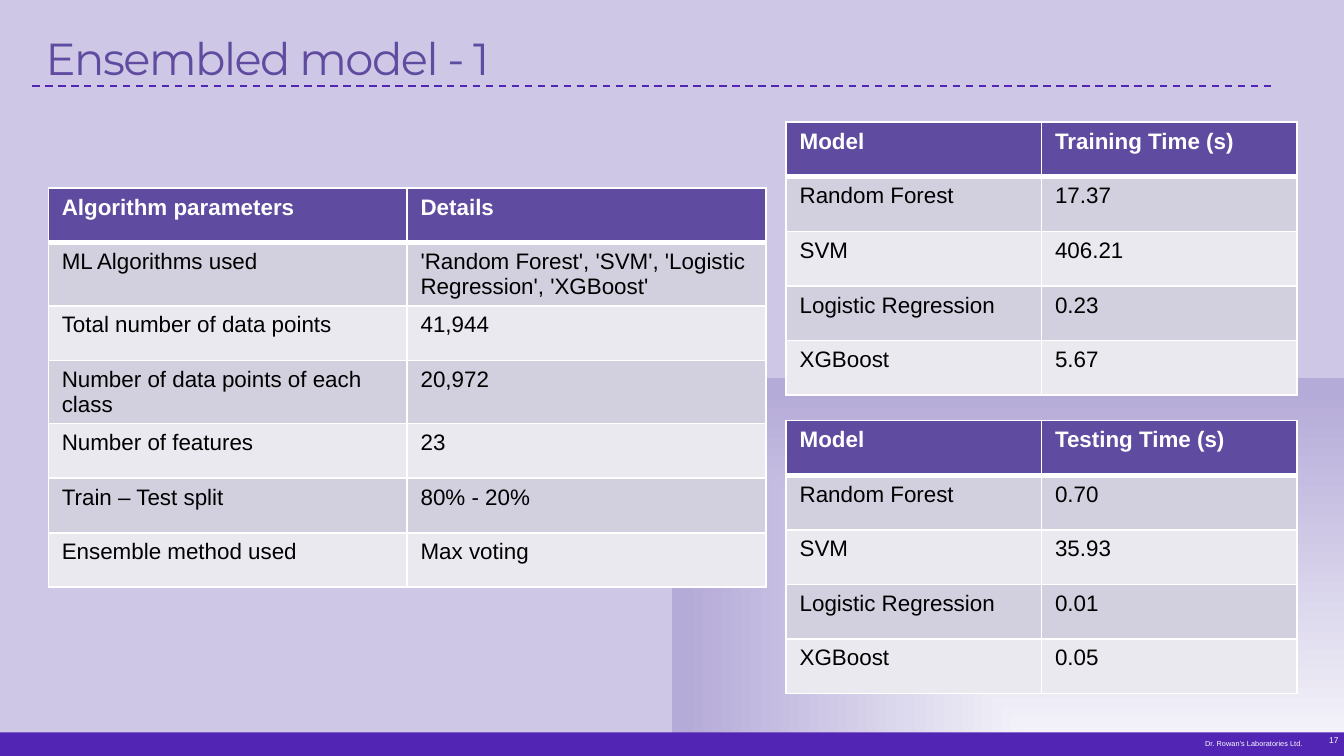
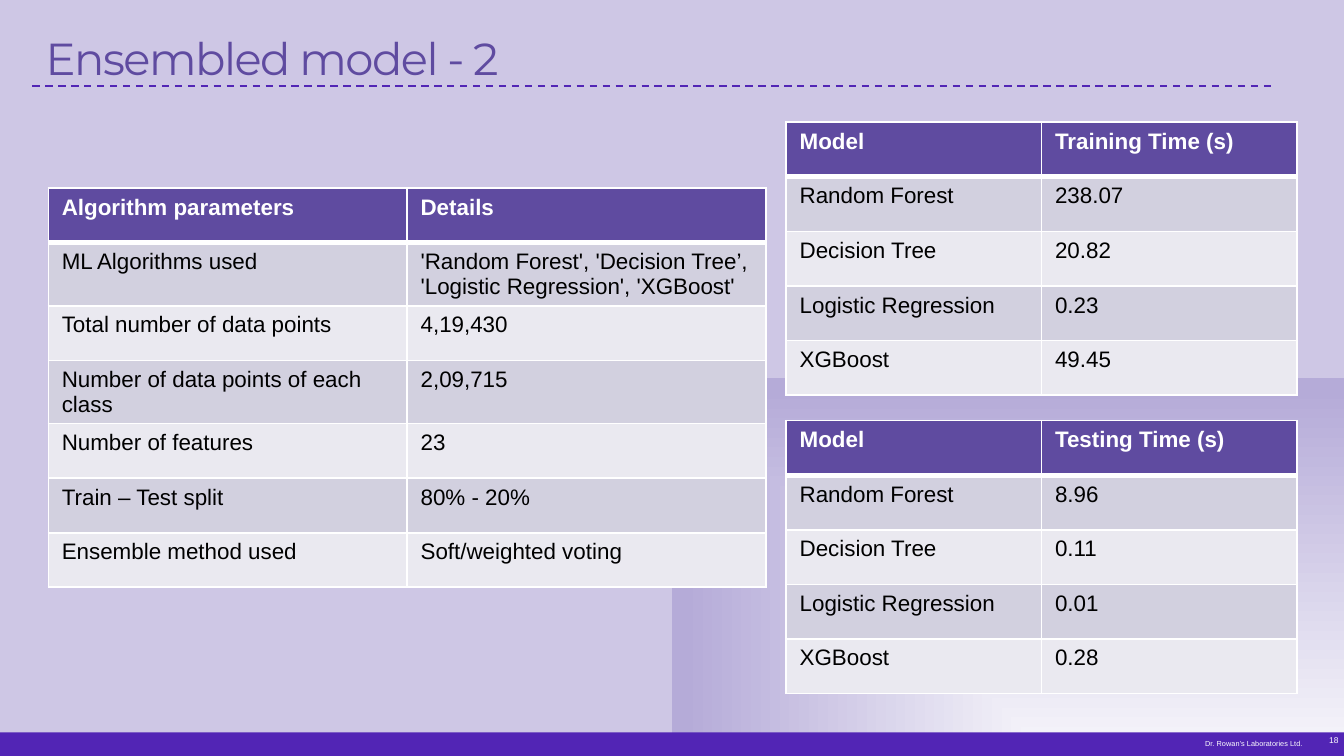
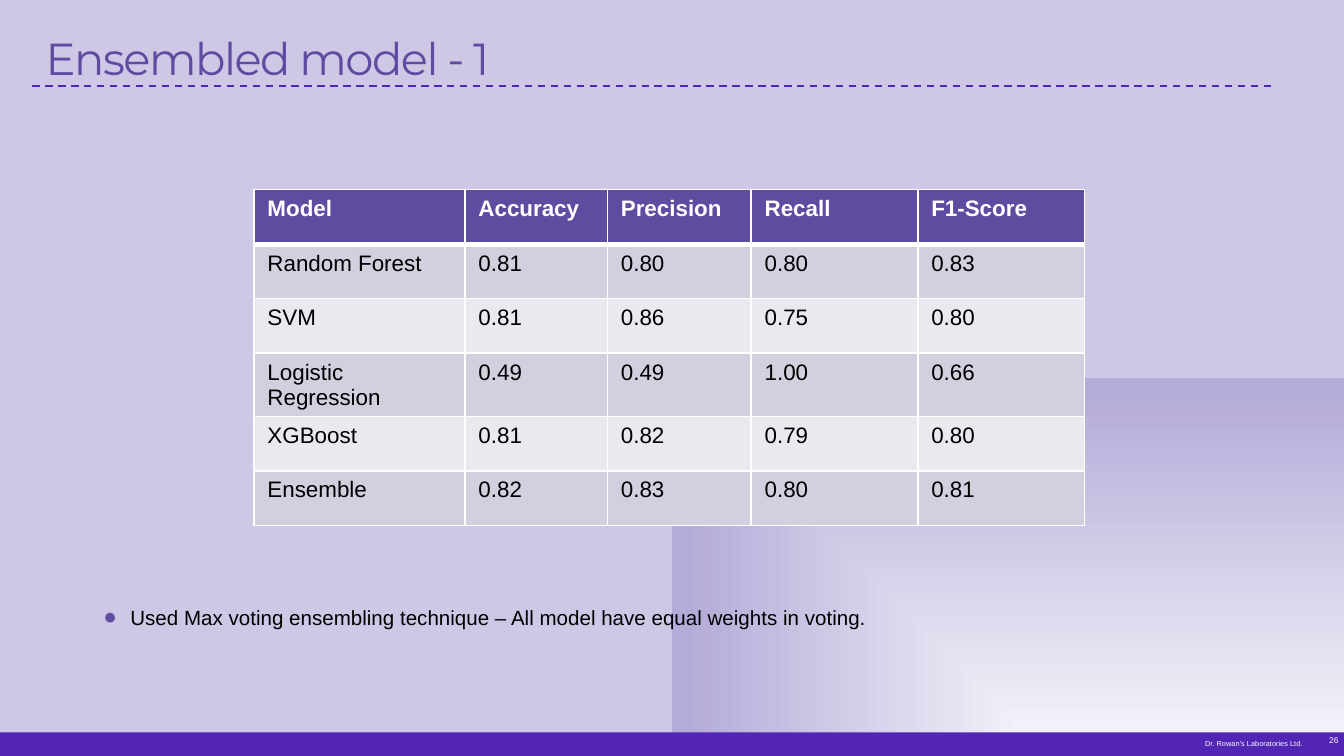
from pptx import Presentation
from pptx import util as u
from pptx.dml import color
from pptx.enum import dml, shapes, text
from pptx.oxml import ns, parse_xml

NS = ns.nsdecls("a")
PURPLE, VIOLET, WHITE, BLACK = "5F4BA0", "5225B5", "FFFFFF", "000000"
BANDS = ("D2D0DF", "EAE9F0")
GLOW = ((0, "F7F6FB"), (97, "B5ABD8"), (100, "B5ABD8"), (100, "CEC7E5"))
ROW_HEIGHT = 2.03 / 5


def rgb(value):
    """Turn a hex string into a colour."""
    return color.RGBColor.from_string(value)


def apply(target, values):
    """Set each format value on the target."""
    for name, value in values.items():
        setattr(target, name, value)


class Deck:
    """Hold the shared style and the current slide."""

    def __init__(self):
        """Open an empty 16:9 presentation with the glowing background."""
        self.prs = Presentation()
        apply(self.prs, {"slide_width": u.Inches(10), "slide_height": u.Inches(10 * 9 / 16)})
        master = self.prs.slide_master
        master.background.fill.solid()
        stops = "".join(
            f'<a:gs pos="{at * 1000}"><a:srgbClr val="{shade}"/></a:gs>' for at, shade in GLOW
        )
        glow = parse_xml(
            f'<a:gradFill {NS} rotWithShape="1"><a:gsLst>{stops}</a:gsLst><a:path path="rect">'
            '<a:fillToRect l="100000" t="100000"/></a:path><a:tileRect r="-100000" b="-100000"/></a:gradFill>'
        )
        backdrop = master._element.find(".//" + ns.qn("p:bgPr"))
        backdrop.replace(backdrop.find(ns.qn("a:solidFill")), glow)

    def new_slide(self, title, number):
        """Add a slide with its title, dashed rule and footer band."""
        self.slide = self.prs.slides.add_slide(self.prs.slide_layouts[6])
        self.band(0, 5.45, 10.03, 0.19)
        right = {"alignment": text.PP_ALIGN.RIGHT}
        self.label(str(number), (9.65, 5.45, 0.33, 0.12), 4.5, WHITE, inset=0.02, layout=right)
        self.label("Dr. Rowan’s Laboratories Ltd.", (6.63, 5.46, 3.18, 0.15), 3.9, WHITE,
                   inset=(0.12, 0.05), layout={**right, "line_spacing": 0.8})
        self.rule(0.24, 9.48, 0.64)
        heading = self.label(title, (0.34, 0.32, 9.29, 0.75), 24, PURPLE,
                             face="Montserrat", layout={"line_spacing": 0.75})
        heading.runs[0].font._element.set("spc", "-80")

    def band(self, *box):
        """Draw a plain filled band."""
        strip = self.slide.shapes.add_shape(shapes.MSO_SHAPE.RECTANGLE, *map(u.Inches, box))
        strip.shadow.inherit = False
        strip.fill.solid()
        strip.fill.fore_color.rgb = rgb(VIOLET)
        strip.line.fill.background()

    def rule(self, left, right, y):
        """Draw a dashed horizontal line."""
        dashes = self.slide.shapes.add_connector(
            shapes.MSO_CONNECTOR.STRAIGHT, *map(u.Inches, (left, y, right, y)))
        apply(dashes.line, {"width": u.Pt(1), "dash_style": dml.MSO_LINE.DASH})
        dashes.line.color.rgb = rgb(VIOLET)
        dashes._element.spPr.append(parse_xml(f"<a:effectLst {NS}/>"))

    def style(self, font, size, shade, face="Arial", bold=False):
        """Format a font."""
        apply(font, {"size": u.Pt(size), "name": face, "bold": bold})
        font.color.rgb = rgb(shade)

    def label(self, words, box, size, shade, face="Arial", inset=0, layout=None):
        """Write one paragraph in a text box and return it."""
        frame = self.slide.shapes.add_textbox(*map(u.Inches, box)).text_frame
        across, down = inset if isinstance(inset, tuple) else (inset, inset)
        apply(frame, {"word_wrap": True,
                      "margin_left": u.Inches(across), "margin_right": u.Inches(across),
                      "margin_top": u.Inches(down), "margin_bottom": u.Inches(down)})
        line = frame.paragraphs[0]
        apply(line, layout or {})
        line.add_run().text = words
        self.style(line.runs[0].font, size, shade, face)
        return line

    def bullet(self, words, box):
        """Write a bulleted line."""
        line = self.label(words, box, 11, BLACK, layout={"space_after": u.Pt(2)})
        props = line._element.get_or_add_pPr()
        for side, value in {"marL": 0.2, "indent": -0.2}.items():
            props.set(side, str(u.Inches(value)))
        for mark in (f'<a:buClr {NS}><a:srgbClr val="{PURPLE}"/></a:buClr>',
                     f'<a:buSzPct {NS} val="110000"/>',
                     f'<a:buFont {NS} typeface="Arial"/>',
                     f'<a:buChar {NS} char="●"/>'):
            props.append(parse_xml(mark))

    def table(self, left, top, widths, rows):
        """Draw a table with a header row and banded body rows."""
        box = (left, top, sum(widths), ROW_HEIGHT * len(rows))
        grid = self.slide.shapes.add_table(len(rows), len(widths), *map(u.Inches, box)).table
        for column, width in zip(grid.columns, widths):
            column.width = u.Inches(width)
        for r, row in enumerate(rows):
            for c, words in enumerate(row):
                self.cell(grid.cell(r, c), words, r)

    def cell(self, cell, words, row):
        """Fill one table cell, with a thick line under the header."""
        header = row == 0
        weights = {"L": 1, "R": 1, "T": 3 if row == 1 else 1, "B": 3 if header else 1}
        for side, weight in weights.items():
            cell._tc.get_or_add_tcPr().append(parse_xml(
                f'<a:ln{side} {NS} w="{u.Pt(weight)}"><a:solidFill><a:srgbClr val="{WHITE}"/>'
                f"</a:solidFill></a:ln{side}>"))
        cell.fill.solid()
        cell.fill.fore_color.rgb = rgb(PURPLE if header else BANDS[(row - 1) % 2])
        apply(cell, {"text": words, "margin_bottom": u.Inches(0.02)})
        self.style(cell.text_frame.paragraphs[0].runs[0].font, 12,
                   WHITE if header else BLACK, bold=header)

    def setup_slide(self, title, number, models, details, training, testing):
        """Show the parameters of an ensemble beside its run times."""
        self.new_slide(title, number)
        parameters = ("ML Algorithms used", "Total number of data points",
                      "Number of data points of each class", "Number of features",
                      "Train – Test split", "Ensemble method used")
        self.table(0.36, 1.4, (2.67, 2.67),
                   [("Algorithm parameters", "Details"), *zip(parameters, details)])
        for top, phase, seconds in ((0.91, "Training", training), (3.13, "Testing", testing)):
            self.table(5.85, top, (1.9, 1.9),
                       [("Model", f"{phase} Time (s)"), *zip(models, seconds)])


def main():
    """Build the three slides."""
    deck = Deck()
    deck.setup_slide(
        "Ensembled model - 1", 17,
        ("Random Forest", "SVM", "Logistic Regression", "XGBoost"),
        ("'Random Forest', 'SVM', 'Logistic Regression', 'XGBoost'",
         "41,944", "20,972", "23", "80% - 20%", "Max voting"),
        ("17.37", "406.21", "0.23", "5.67"),
        ("0.70", "35.93", "0.01", "0.05"))
    deck.setup_slide(
        "Ensembled model - 2", 18,
        ("Random Forest", "Decision Tree", "Logistic Regression", "XGBoost"),
        ("'Random Forest', 'Decision Tree’, 'Logistic Regression', 'XGBoost'",
         "4,19,430", "2,09,715", "23", "80% - 20%", "Soft/weighted voting"),
        ("238.07", "20.82", "0.23", "49.45"),
        ("8.96", "0.11", "0.01", "0.28"))
    deck.new_slide("Ensembled model - 1", 26)
    deck.bullet("Used Max voting ensembling technique – All model have equal weights in voting.",
                (0.77, 4.5, 8.16, 0.63))
    deck.table(1.89, 1.41, (1.57, 1.06, 1.07, 1.24, 1.24), [
        ("Model", "Accuracy", "Precision", "Recall", "F1-Score"),
        ("Random Forest", "0.81", "0.80", "0.80", "0.83"),
        ("SVM", "0.81", "0.86", "0.75", "0.80"),
        ("Logistic Regression", "0.49", "0.49", "1.00", "0.66"),
        ("XGBoost", "0.81", "0.82", "0.79", "0.80"),
        ("Ensemble", "0.82", "0.83", "0.80", "0.81"),
    ])
    deck.prs.save("out.pptx")


if __name__ == "__main__":
    main()
